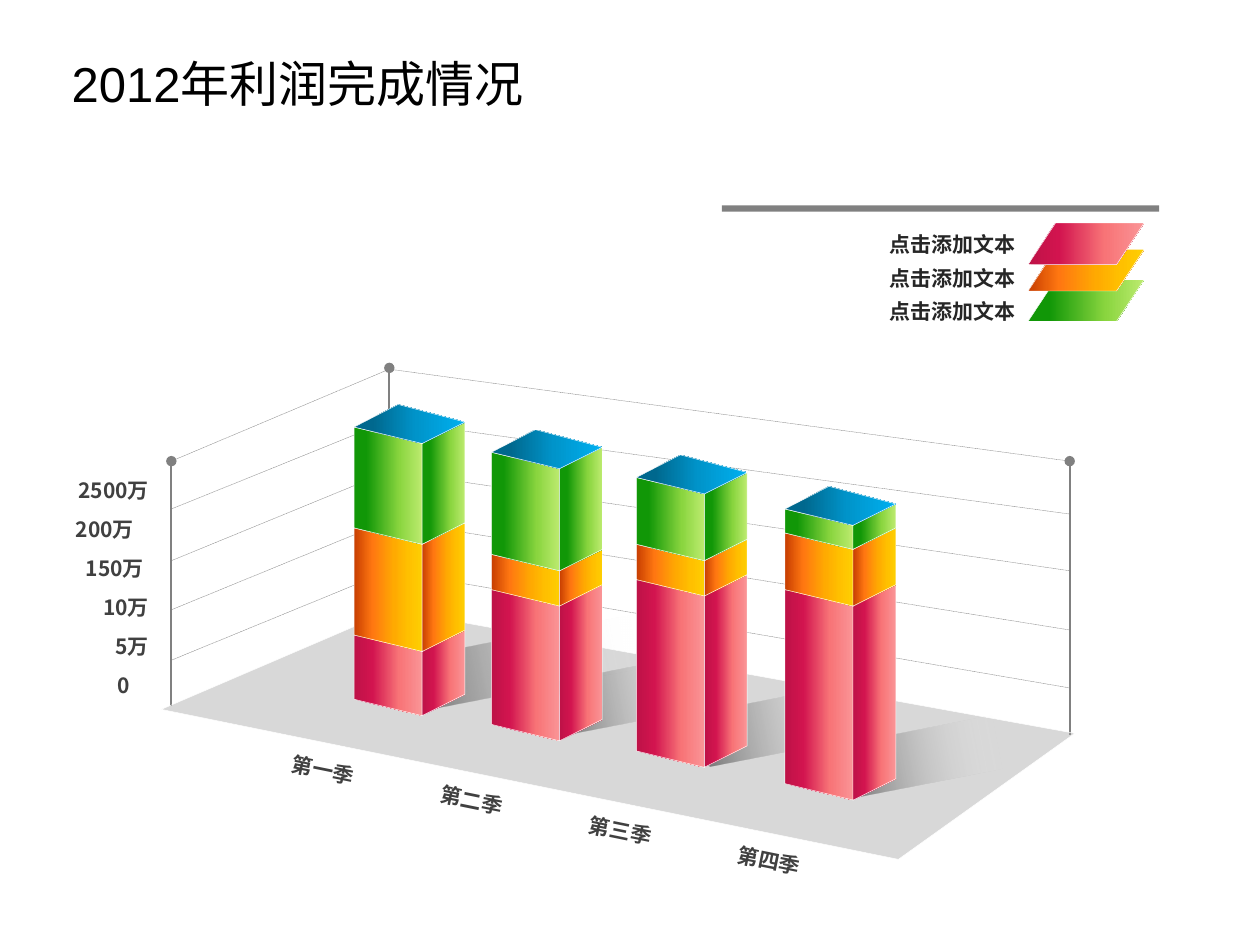
from dataclasses import dataclass

from lxml import etree
from pptx import Presentation
from pptx import util as u
from pptx.dml.color import RGBColor
from pptx.enum import dml, shapes, text
from pptx.oxml import parse_xml
from pptx.oxml.ns import nsdecls, qn


@dataclass(frozen=True)
class Stop:
    position: int
    color: str
    alpha: int = 100


def stops(*pairs: tuple[int, str]) -> tuple[Stop, ...]:
    return tuple(Stop(*pair) for pair in pairs)


@dataclass(frozen=True)
class Theme:
    title_font: str = "Arial"
    label_font: str = "Noto Sans CJK SC"
    title_size: int = 28
    label_size: int = 12
    black: str = "000000"
    label: str = "404040"
    legend: str = "262626"
    rule: str = "808080"
    floor: str = "A6A6A6"
    edge: str = "FFFFFF"
    pink: tuple = stops((0, "BE1247"), (27, "D2144F"), (66, "F87477"), (100, "FA9496"))
    orange: tuple = stops((0, "C73E01"), (27, "FF7711"), (59, "FFAA01"),
                          (80, "FFC000"), (100, "FECE02"))
    green: tuple = stops((18, "119707"), (67, "8AD53F"), (100, "BCEB6F"))
    blue: tuple = stops((17, "00688E"), (56, "0094CA"), (100, "00B0F0"))
    shadow: tuple = (Stop(0, "000000", 50), Stop(87, "FFFFFF", 0))


THEME = Theme()


@dataclass(frozen=True)
class Column:
    """Bar with the heights of its near edge, from top to bottom, and its shadow."""
    left: float
    levels: tuple[float, float, float, float]
    shadow: tuple[float, float, float]  # left, top, length


@dataclass(frozen=True)
class Label:
    words: str
    left: float
    top: float
    width: float
    height: float = 0.3
    align: text.PP_ALIGN = text.PP_ALIGN.RIGHT
    color: str = THEME.label
    rotation: float = 0


COLUMNS = (
    Column(2.81, (3.52, 4.32, 5.17, 5.68), (4.06, 4.27, 1.95)),
    Column(3.9, (3.72, 4.53, 4.81, 5.88), (4.86, 4.88, 1.24)),
    Column(5.05, (3.92, 4.45, 4.73, 6.09), (6.02, 5.09, 1.31)),
    Column(6.23, (4.17, 4.36, 4.81, 6.35), (7.17, 5.34, 1.31)),
)
FRONT_WIDTH, FRONT_DROP = 0.54, 0.13
SIDE_WIDTH, SIDE_DROP = 0.34, 0.17
SHADOW_WIDTH = 0.43

WALL_LEFT, WALL_CORNER, WALL_RIGHT = 1.36, 3.09, 8.49
GRID_HEIGHTS = ((3.66, 2.93, 3.66), (4.04, 3.34, 4.08), (4.45, 3.74, 4.53),
                (4.84, 4.13, 5), (5.24, 4.53, 5.46))
# Wording and the right end of the text, from the bottom up
SCALE = (("0", 1.03), ("5万", 1.18), ("10万", 1.18),
         ("150万", 1.14), ("200万", 1.06), ("2500万", 1.18))


def fill_gradient(shape, colors: tuple[Stop, ...], angle: int) -> None:
    """Fill with a linear gradient; the angle runs clockwise in degrees."""
    marks = "".join(
        f'<a:gs pos="{stop.position * 1000}"><a:srgbClr val="{stop.color}">'
        f'<a:alpha val="{stop.alpha * 1000}"/></a:srgbClr></a:gs>'
        for stop in colors)
    shape.fill.background()
    properties = shape._element.spPr
    properties.replace(properties.find(qn("a:noFill")), parse_xml(
        f'<a:gradFill {nsdecls("a")} rotWithShape="1"><a:gsLst>{marks}</a:gsLst>'
        f'<a:lin ang="{angle * 60000}" scaled="0"/></a:gradFill>'))


def outline(shape) -> None:
    shape.shadow.inherit = False
    shape.line.color.rgb = RGBColor.from_string(THEME.edge)
    shape.line.width = u.Pt(0.25)


def add_preset(page, kind, left: float, top: float, width: float, height: float):
    shape = page.shapes.add_shape(kind, u.Inches(left), u.Inches(top),
                                  u.Inches(width), u.Inches(height))
    shape.shadow.inherit = False
    shape.line.fill.background()
    return shape


def add_polygon(page, points):
    corners = [(u.Inches(x), u.Inches(y)) for x, y in points]
    builder = page.shapes.build_freeform(*corners[0])
    builder.add_line_segments(corners[1:], close=True)
    shape = builder.convert_to_shape()
    outline(shape)
    return shape


def add_line(page, start, end, width: float, dotted: bool = False, knob: bool = False) -> None:
    line = page.shapes.add_connector(
        shapes.MSO_CONNECTOR.STRAIGHT, *(u.Inches(value) for value in (*start, *end)))
    line.line.color.rgb = RGBColor.from_string(THEME.rule)
    line.line.width = u.Pt(width)
    if dotted:
        line.line.dash_style = dml.MSO_LINE.ROUND_DOT
    if knob:
        etree.SubElement(line.line._get_or_add_ln(), qn("a:tailEnd"), type="oval")
    etree.SubElement(line._element.spPr, qn("a:effectLst"))


def add_label(page, label: Label) -> None:
    box = page.shapes.add_textbox(u.Inches(label.left), u.Inches(label.top),
                                  u.Inches(label.width), u.Inches(label.height))
    box.rotation = label.rotation
    box.text_frame.word_wrap = True
    box.text_frame.text = label.words
    para = box.text_frame.paragraphs[0]
    para.alignment = label.align
    span = para.runs[0]
    span.font.size = u.Pt(THEME.label_size)
    span.font.bold = True
    span.font.color.rgb = RGBColor.from_string(label.color)
    span.font.name = THEME.label_font
    etree.SubElement(span.font._element, qn("a:ea"), typeface=THEME.label_font)


def add_title(page) -> None:
    box = page.shapes.add_textbox(u.Inches(0.47), u.Inches(0.31), u.Inches(4.29), u.Inches(0.7))
    frame = box.text_frame
    frame.word_wrap = True
    frame.vertical_anchor = text.MSO_ANCHOR.MIDDLE
    frame.text = "2012年利润完成情况"
    font = frame.paragraphs[0].runs[0].font
    font.name, font.size = THEME.title_font, u.Pt(THEME.title_size)
    font.color.rgb = RGBColor.from_string(THEME.black)


def add_face(page, left: float, top: float, bottom: float, width: float,
             drop: float, colors, flipped: bool) -> None:
    """Upright bar face: a parallelogram turned by a quarter."""
    height = bottom - top
    face = add_preset(page, shapes.MSO_SHAPE.PARALLELOGRAM, left + (width - height) / 2,
                      top + (height - width) / 2, height, width)
    face.adjustments[0] = drop / min(width, height)
    face.rotation = 90
    if flipped:
        face._element.spPr.xfrm.set("flipV", "1")
    fill_gradient(face, colors, 90 if flipped else 270)
    outline(face)


def add_column(page, column: Column) -> None:
    left, top, length = column.shadow
    shadow = add_preset(page, shapes.MSO_SHAPE.RECTANGLE, left, top, SHADOW_WIDTH, length)
    shadow.rotation = 259
    fill_gradient(shadow, THEME.shadow, 90)

    near = column.left + FRONT_WIDTH
    bands = list(zip(column.levels, column.levels[1:], (THEME.green, THEME.orange, THEME.pink)))
    for upper, lower, colors in reversed(bands):
        add_face(page, column.left, upper - FRONT_DROP, lower, FRONT_WIDTH, FRONT_DROP, colors, False)
        add_face(page, near, upper - SIDE_DROP, lower, SIDE_WIDTH, SIDE_DROP, colors, True)
    peak = column.levels[0]
    lid = add_polygon(page, ((column.left + 0.35, peak - 0.31), (column.left, peak - FRONT_DROP),
                             (near, peak), (near + SIDE_WIDTH, peak - SIDE_DROP)))
    fill_gradient(lid, THEME.blue, 0)


def add_walls(page) -> None:
    for x, bottom in ((WALL_LEFT, 5.6), (WALL_RIGHT, 5.83)):
        add_line(page, (x, bottom), (x, 3.66), 1, knob=True)
    for left, corner, right in GRID_HEIGHTS:
        add_line(page, (WALL_LEFT, left), (WALL_CORNER, corner), 0.25, dotted=True)
        add_line(page, (WALL_CORNER, corner), (WALL_RIGHT, right), 0.25, dotted=True)
    floor = add_polygon(page, ((1.28, 5.63), (3.12, 4.84), (8.53, 5.82), (7.13, 6.82)))
    floor.fill.solid()
    floor.fill.fore_color.rgb = RGBColor.from_string(THEME.floor)
    tint = floor._element.spPr.find(qn("a:solidFill"))[0]
    etree.SubElement(tint, qn("a:alpha"), val="43000")
    add_line(page, (WALL_CORNER, 4.84), (WALL_CORNER, 2.92), 1, knob=True)


def add_axis_labels(page) -> None:
    for i, quarter in enumerate("一二三四"):
        add_label(page, Label(f"第{quarter}季", 1.88 + 1.18 * i, 5.96 + 0.24 * i, 1.37,
                              align=text.PP_ALIGN.CENTER, rotation=11.5))
    for i, (words, right) in enumerate(SCALE):
        add_label(page, Label(words, right - 0.72, 5.29 - 0.31 * i, 0.82))


def add_legend(page) -> None:
    for i in range(3):
        add_label(page, Label("点击添加文本", 5.43, 1.79 + 0.265 * i, 2.73, color=THEME.legend))
    rule = add_preset(page, shapes.MSO_SHAPE.RECTANGLE, 5.73, 1.63, 3.47, 0.05)
    rule.fill.solid()
    rule.fill.fore_color.rgb = RGBColor.from_string(THEME.rule)
    for top, colors in ((2.22, THEME.green), (1.98, THEME.orange), (1.77, THEME.pink)):
        swatch = add_preset(page, shapes.MSO_SHAPE.PARALLELOGRAM, 8.16, top, 0.92, 0.33)
        swatch.adjustments[0] = 0.66
        fill_gradient(swatch, colors, 0)
        outline(swatch)


def main() -> None:
    deck = Presentation()
    deck.slide_width, deck.slide_height = u.Inches(10), u.Inches(7.5)
    page = deck.slides.add_slide(deck.slide_layouts[6])
    add_title(page)
    add_walls(page)
    add_axis_labels(page)
    for column in COLUMNS:
        add_column(page, column)
    add_legend(page)
    deck.save("out.pptx")


if __name__ == "__main__":
    main()
